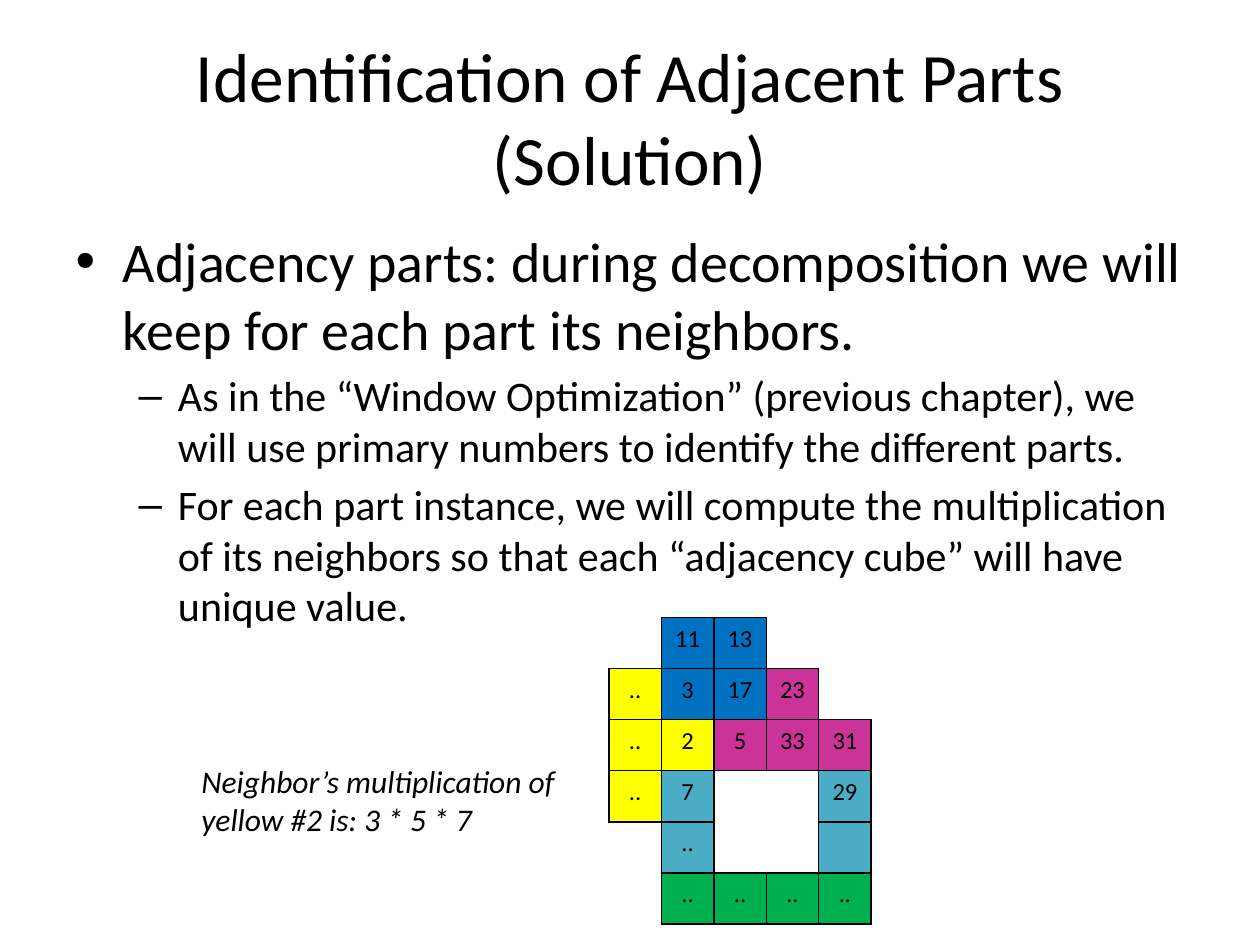
from lxml import etree
from pptx import Presentation
from pptx.dml.color import RGBColor
from pptx.enum.text import MSO_ANCHOR, MSO_AUTO_SIZE, PP_ALIGN
from pptx.oxml.ns import qn
from pptx.util import Pt

CENTER = PP_ALIGN.CENTER
MIDDLE = MSO_ANCHOR.MIDDLE
NO_FIT = MSO_AUTO_SIZE.NONE
GROW = MSO_AUTO_SIZE.SHAPE_TO_FIT_TEXT
COLORS = {
    "black": "000000", "white": "FFFFFF", "blue": "0070C0", "yellow": "FFFF00",
    "pink": "CC3399", "teal": "4BACC6", "green": "00B050",
}


def write(para, text, size, italic=False, align=None):
    span = para.add_run()
    span.text = text
    span.font.name = "Calibri"
    span.font.size = Pt(size)
    span.font.italic = italic
    span.font.bold = False
    span.font.color.rgb = RGBColor.from_string(COLORS["black"])
    if align is not None:
        para.alignment = align


def set_border(cell, position, side, visible):
    line = etree.Element(qn("a:ln" + side), w=str(Pt(1)))
    if visible:
        fill = etree.SubElement(line, qn("a:solidFill"))
        etree.SubElement(fill, qn("a:srgbClr"), val=COLORS["black"])
    else:
        etree.SubElement(line, qn("a:noFill"))
    cell._tc.get_or_add_tcPr().insert(position, line)


deck = Presentation()
deck.slide_width, deck.slide_height = Pt(720), Pt(540)
page = deck.slides.add_slide(deck.slide_layouts[1])

# Title
title = page.shapes.title
title.left, title.top, title.width, title.height = Pt(36), Pt(21.6), Pt(648), Pt(90)
title.text_frame.auto_size = NO_FIT
title.text_frame.vertical_anchor = MIDDLE
write(title.text_frame.paragraphs[0], "Identification of Adjacent Parts (Solution)",
      size=39.6, align=CENTER)

# Bullet list
body = page.placeholders[1]
body.left, body.top, body.width, body.height = Pt(36), Pt(126), Pt(648), Pt(356.4)
body.text_frame.auto_size = NO_FIT
bullets = [
    (0, 32, "Adjacency parts: during decomposition we will keep for each part its neighbors."),
    (1, 24, "As in the “Window Optimization” (previous chapter), we will use primary "
            "numbers to identify the different parts."),
    (1, 24, "For each part instance, we will compute the multiplication of its neighbors "
            "so that each “adjacency cube” will have unique value."),
]
for index, (level, size, text) in enumerate(bullets):
    if index == 0:
        para = body.text_frame.paragraphs[0]
        para.space_before = Pt(0)
    else:
        para = body.text_frame.add_paragraph()
    para.level = level
    write(para, text, size=size)

# Grid of parts: colour and number of each cell, None where there is no part
blue, yellow, pink, teal, green = "blue", "yellow", "pink", "teal", "green"
parts = [
    [None, (blue, "11"), (blue, "13"), None, None],
    [(yellow, ".."), (blue, "3"), (blue, "17"), (pink, "23"), None],
    [(yellow, ".."), (yellow, "2"), (pink, "5"), (pink, "33"), (pink, "31")],
    [(yellow, ".."), (teal, "7"), None, None, (teal, "29")],
    [None, (teal, ".."), None, None, (teal, "")],
    [None] + [(green, "..")] * 4,
]
row_count, column_count = len(parts), len(parts[0])
frame = page.shapes.add_table(row_count, column_count, Pt(347.9), Pt(352.8),
                              Pt(150), Pt(175.2))
table = frame.table
table.first_row = table.horz_banding = False
for column in table.columns:
    column.width = Pt(30)
for row in table.rows:
    row.height = Pt(29.2)
for start, end in [((0, 3), (0, 4)), ((3, 2), (4, 2)), ((3, 3), (4, 3)), ((4, 0), (5, 0))]:
    table.cell(*start).merge(table.cell(*end))

for r in range(row_count):
    for c in range(column_count):
        cell, part = table.cell(r, c), parts[r][c]
        neighbors = {
            "L": (r, c - 1), "R": (r, c + cell.span_width),
            "T": (r - 1, c), "B": (r + cell.span_height, c),
        }
        # A border shows wherever a part lies on either side of it
        for position, (side, (y, x)) in enumerate(neighbors.items()):
            inside = 0 <= y < row_count and 0 <= x < column_count
            visible = part is not None or (inside and parts[y][x] is not None)
            set_border(cell, position, side, visible)
        if part is None and r == 0 and c >= 3:
            cell.fill.background()
        else:
            cell.fill.solid()
            cell.fill.fore_color.rgb = RGBColor.from_string(COLORS[part[0] if part else "white"])
        if part and part[1]:
            write(cell.text_frame.paragraphs[0], part[1], size=14, align=CENTER)

# Example beside the grid
note = page.shapes.add_textbox(Pt(108), Pt(432), Pt(240), Pt(51))
note.text_frame.word_wrap = True
note.text_frame.auto_size = GROW
write(note.text_frame.paragraphs[0], "Neighbor’s multiplication of yellow #2 is: 3 * 5 * 7",
      size=18, italic=True)

deck.save("out.pptx")
